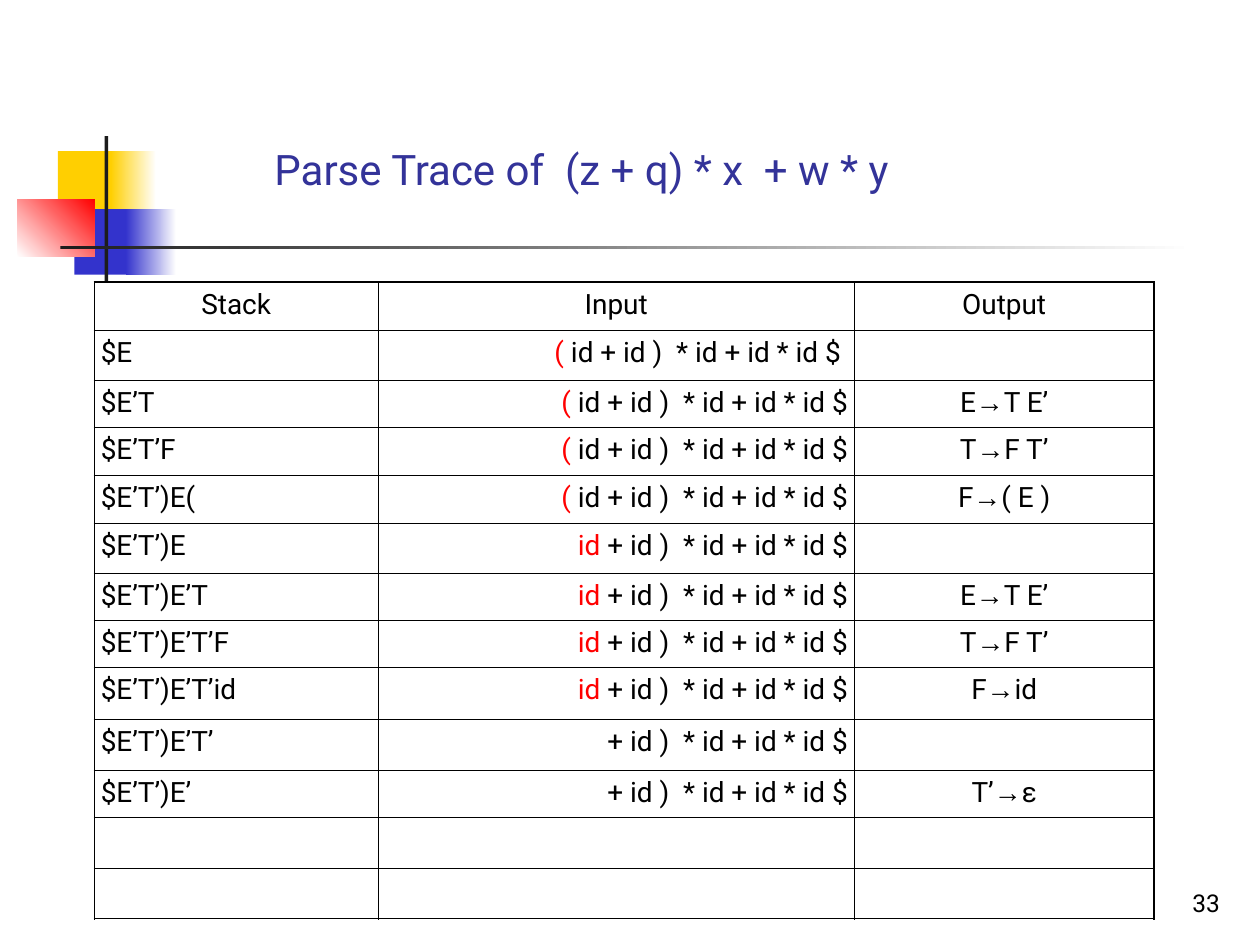
from lxml import etree
from pptx import Presentation
from pptx.dml.color import RGBColor
from pptx.enum.shapes import MSO_SHAPE
from pptx.enum.text import MSO_ANCHOR, PP_ALIGN
from pptx.oxml.ns import qn
from pptx.util import Inches, Pt

LEFT, CENTER, RIGHT = PP_ALIGN.LEFT, PP_ALIGN.CENTER, PP_ALIGN.RIGHT
BOTTOM = MSO_ANCHOR.BOTTOM
RECTANGLE = MSO_SHAPE.RECTANGLE
COLORS = {
    "black": "000000", "white": "FFFFFF", "red": "FF0000", "title": "333399",
    "yellow": "FFCF01", "blue": "3333CC", "bar": "1C1C1C",
}
THIN, THICK = 0.45, 1.08


def add_span(para, text, size=16, color="black", font="Roboto"):
    span = para.add_run()
    span.text = text
    span.font.size = Pt(size)
    span.font.name = font
    span.font.color.rgb = RGBColor.from_string(COLORS[color])


def add_border(cell, side, width):
    line = etree.SubElement(cell._tc.get_or_add_tcPr(), qn(f"a:ln{side}"), w=str(Pt(width)))
    fill = etree.SubElement(line, qn("a:solidFill"))
    etree.SubElement(fill, qn("a:srgbClr"), val=COLORS["black"])


deck = Presentation()
deck.slide_width, deck.slide_height = Inches(10), Inches(7.5)
page = deck.slides.add_slide(deck.slide_layouts[6])

# Corner ornament: left, top, width, height, colours, gradient angle
ornament = [
    (0.46, 1.2, 0.48, 0.52, ["yellow"], 0),
    (0.88, 1.2, 0.36, 0.52, ["yellow", "white"], 0),
    (0.59, 1.66, 0.46, 0.52, ["blue"], 0),
    (1, 1.66, 0.4, 0.52, ["blue", "white"], 0),
    (0.14, 1.58, 0.61, 0.46, ["white", "red"], 45),
    (0.83, 1.08, 0.03, 1.15, ["bar"], 0),
    (0.48, 1.95, 9, 0.03, ["bar", "white"], 0),
]
for *frame, names, angle in ornament:
    block = page.shapes.add_shape(RECTANGLE, *map(Inches, frame))
    block.shadow.inherit = False
    block.line.fill.background()
    if len(names) == 1:
        block.fill.solid()
        block.fill.fore_color.rgb = RGBColor.from_string(COLORS[names[0]])
    else:
        block.fill.gradient()
        block.fill.gradient_angle = angle
        for stop, name in zip(block.fill.gradient_stops, names):
            stop.color.rgb = RGBColor.from_string(COLORS[name])

# Page number and title
labels = [
    ((7.7, 6.83, 2.08, 0.5), "33", RIGHT, 14, "black"),
    ((2.08, 0.92, 5.92, 0.67), "Parse Trace of  (z + q) * x  + w * y", LEFT, 24, "title"),
]
for frame, text, align, size, color in labels:
    box = page.shapes.add_textbox(*map(Inches, frame))
    box.text_frame.word_wrap = True
    box.text_frame.vertical_anchor = BOTTOM
    para = box.text_frame.paragraphs[0]
    para.alignment = align
    add_span(para, text, size=size, color=color)

# Trace rows: stack, current token, remaining input, output
rest = " + id )  * id + id * id $"
whole = " id" + rest
trace = [
    ("Stack", "", "Input", "Output"),
    ("$E", "(", whole + " ", ""),
    ("$E’T", "(", whole, "E→T E’"),
    ("$E’T’F", "(", whole, "T→F T’"),
    ("$E’T’)E(", "(", whole, "F→( E )"),
    ("$E’T’)E", "id", rest, ""),
    ("$E’T’)E’T", "id", rest, "E→T E’"),
    ("$E’T’)E’T’F", "id", rest, "T→F T’"),
    ("$E’T’)E’T’id", "id", rest, "F→id"),
    ("$E’T’)E’T’", "", rest.lstrip(), ""),
    ("$E’T’)E’", "", rest.lstrip(), "T’→ε"),
    ("", "", "", ""),
    ("", "", "", ""),
]
widths = [2.25, 3.78, 2.38]
heights = [0.38, 0.38, 0.37, 0.38, 0.38, 0.38, 0.37, 0.38, 0.41, 0.38, 0.38, 0.38, 0.37]
last_row, last_column = len(heights) - 1, len(widths) - 1

# Trace table
frame = (0.75, 2.24, sum(widths), sum(heights))
table = page.shapes.add_table(len(heights), len(widths), *map(Inches, frame)).table
table.first_row = table.horz_banding = False
for column, width in zip(table.columns, widths):
    column.width = Inches(width)

for i, (stack, token, remaining, output) in enumerate(trace):
    table.rows[i].height = Inches(heights[i])
    left_side, arrow, right_side = output.partition("→")
    contents = [
        [(stack, {})],
        [(token, {"color": "red"}), (remaining, {})],
        [(left_side, {}), (arrow, {"font": "Arial"}), (right_side, {})],
    ]
    aligns = [CENTER] * 3 if i == 0 else [LEFT, RIGHT, CENTER]
    for j, (spans, align) in enumerate(zip(contents, aligns)):
        cell = table.cell(i, j)
        cell.margin_left = cell.margin_right = Inches(0.05)
        cell.margin_top = cell.margin_bottom = Inches(0.05)
        outer = {"L": j == 0, "R": j == last_column, "T": i == 0, "B": i == last_row}
        for side, is_outer in outer.items():
            add_border(cell, side, THICK if is_outer else THIN)
        cell.fill.background()
        para = cell.text_frame.paragraphs[0]
        para.alignment = align
        for text, style in spans:
            if text:
                add_span(para, text, **style)

deck.save("out.pptx")
